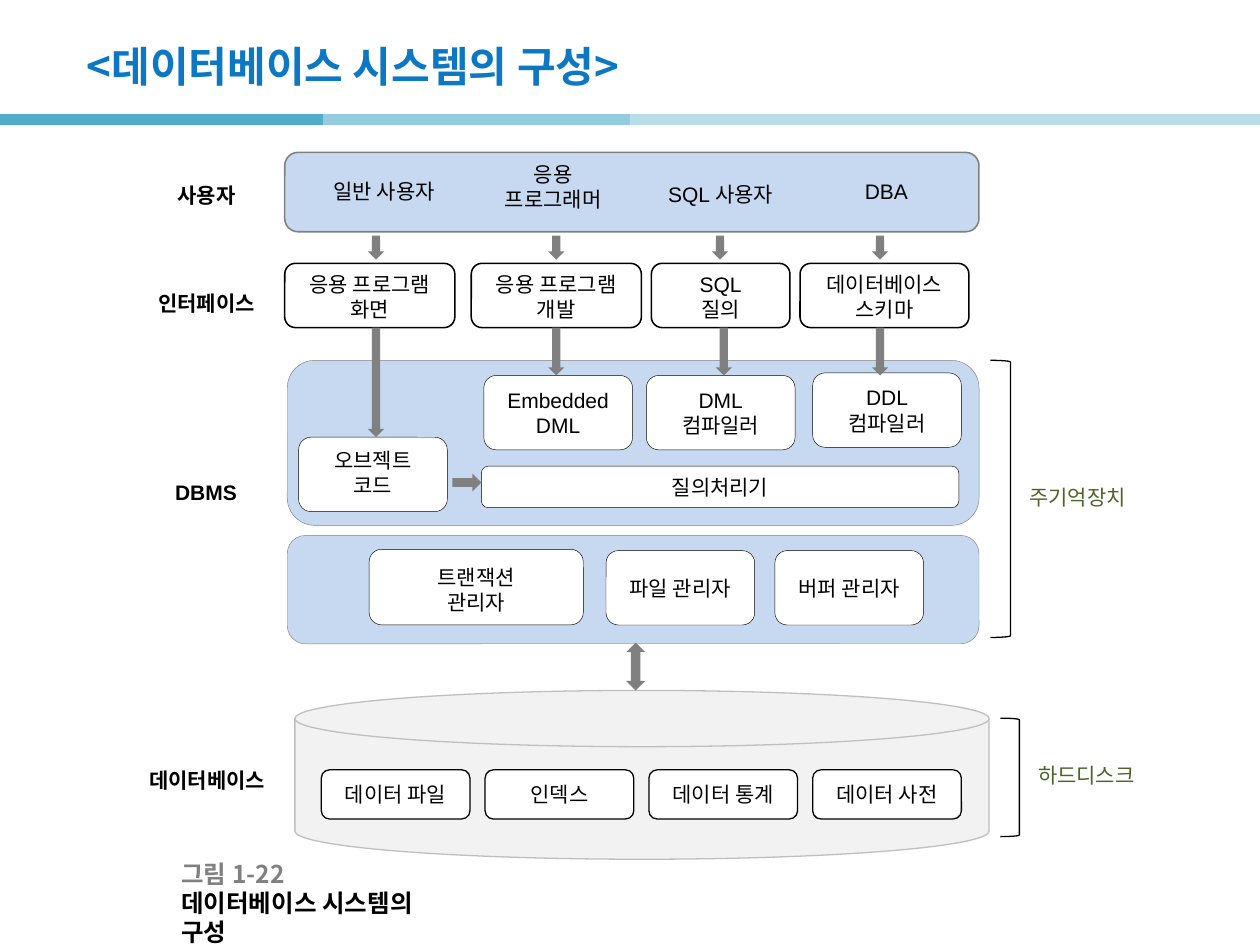
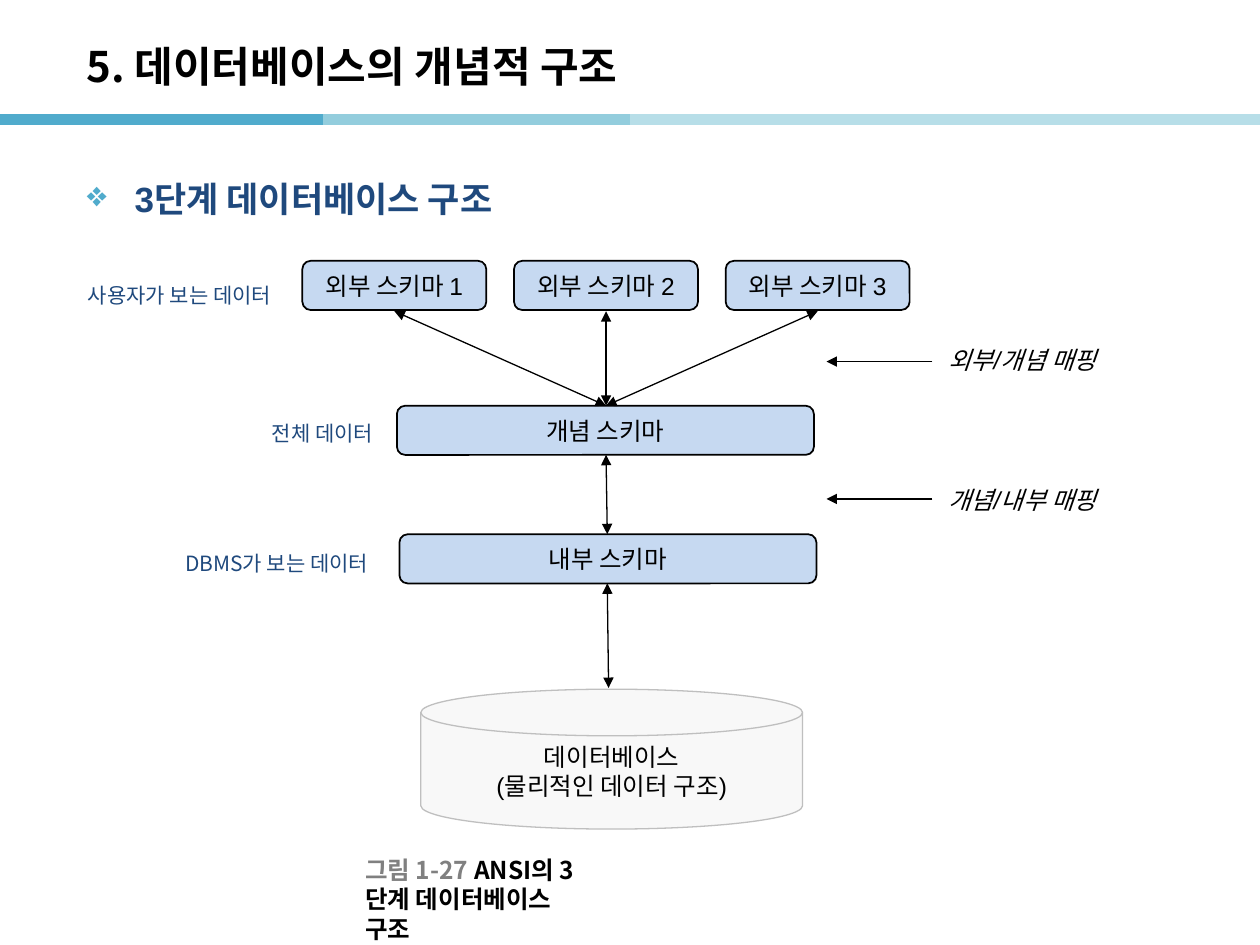
"""Build two slides on database system structure and the three-level schema architecture."""
from lxml.etree import SubElement
from pptx import Presentation
from pptx.dml.color import RGBColor as Rgb
from pptx.enum.shapes import MSO_CONNECTOR as Connector, MSO_SHAPE as Shape
from pptx.enum.text import MSO_ANCHOR as Anchor, PP_ALIGN as Align
from pptx.oxml.ns import qn
from pptx.util import Inches, Pt

COLORS = {
    "black": "000000", "white": "FFFFFF", "gray": "808080", "title": "0C77C3",
    "navy": "1F497D", "green": "4F6228", "panel": "C6D9F1", "disk": "F2F2F2",
    "disk_edge": "BFBFBF", "band1": "50ABCC", "band2": "93CDDD", "band3": "B7DEE8",
}
KOREAN = "Noto Sans CJK KR"


def put(page, kind, area, text="", fill=None, edge=None, weight=0.75, size=12,
        color="black", font="Arial", bold=False, italic=False, align=Align.CENTER,
        anchor=Anchor.MIDDLE, inset=(0.1, 0.05), wrap=True):
    place = [Inches(value) for value in area]
    if kind is None:
        box = page.shapes.add_textbox(*place)
    else:
        box = page.shapes.add_shape(kind, *place)
        box.shadow.inherit = False
        if fill:
            box.fill.solid()
            box.fill.fore_color.rgb = Rgb.from_string(COLORS[fill])
        else:
            box.fill.background()
        if edge:
            box.line.color.rgb = Rgb.from_string(COLORS[edge])
            box.line.width = Pt(weight)
        else:
            box.line.fill.background()
    frame = box.text_frame
    frame.word_wrap = wrap
    frame.vertical_anchor = anchor
    frame.margin_left = frame.margin_right = Inches(inset[0])
    frame.margin_top = frame.margin_bottom = Inches(inset[1])
    if text:
        frame.text = text
    for para in frame.paragraphs:
        para.alignment = align
        for span in para.runs:
            span.font.size, span.font.name = Pt(size), font
            span.font.bold, span.font.italic = bold, italic
            span.font.color.rgb = Rgb.from_string(COLORS[color])
            SubElement(span.font._element, qn("a:ea"), typeface=KOREAN)
    return box


def join(page, start, end, color="black", weight=0.75, arrows=()):
    line = page.shapes.add_connector(
        Connector.STRAIGHT, *[Inches(value) for value in (*start, *end)])
    line.line.color.rgb = Rgb.from_string(COLORS[color])
    line.line.width = Pt(weight)
    for arrow in arrows:
        SubElement(line.line._get_or_add_ln(), qn(f"a:{arrow}"), type="triangle")
    SubElement(line._element.spPr, qn("a:effectLst"))


deck = Presentation()
deck.slide_width, deck.slide_height = Inches(10), Inches(7.5)
pages = []
for title, title_color, number, caption, left, top in [
    ("<데이터베이스 시스템의 구성>", "title", "그림 1-22 ", "데이터베이스 시스템의 구성", 1.34, 7.01),
    ("5. 데이터베이스의 개념적 구조", "black", "그림 1-27 ", "ANSI의 3단계 데이터베이스 구조", 2.8, 6.98),
]:
    page = deck.slides.add_slide(deck.slide_layouts[6])
    pages.append(page)
    for begin, finish, band in [(0, 2.56, "band1"), (2.56, 5, "band2"), (5, 10, "band3")]:
        join(page, (begin, 0.95), (finish, 0.95), band, 6)
    put(page, None, (0.59, 0.22, 8.27, 0.6), title, size=24, color=title_color,
        font=KOREAN, bold=True, align=Align.LEFT)
    box = put(page, None, (left, top, 2.05, 0.31), number, size=14, color="gray",
              font=KOREAN, bold=True, align=Align.LEFT, wrap=False)
    span = box.text_frame.paragraphs[0].add_run()
    span.text = caption
    span.font.size, span.font.name, span.font.bold = Pt(14), KOREAN, True
    span.font.color.rgb = Rgb.from_string(COLORS["black"])
    SubElement(span.font._element, qn("a:ea"), typeface=KOREAN)
system, levels = pages

put(system, Shape.FLOWCHART_MAGNETIC_DISK, (2.34, 5.48, 5.51, 1.34),
    fill="disk", edge="disk_edge")
for index, store in enumerate(["데이터 파일", "인덱스", "데이터 통계", "데이터 사전"]):
    put(system, Shape.ROUNDED_RECTANGLE, (2.55 + 1.3 * index, 6.11, 1.18, 0.39), store,
        fill="white", edge="black", inset=(0.04, 0.05))

for top, height, weight in [(1.21, 0.63, 0.88), (2.86, 1.31, 0.25), (4.25, 0.86, 0.25)]:
    left = 2.26 if top < 2 else 2.28
    put(system, Shape.ROUNDED_RECTANGLE, (left, top, 7.77 - left, height),
        fill="panel", edge="gray", weight=weight)

for area, part, anchor in [
    ((2.37, 3.47, 1.18, 0.59), "오브젝트\n코드", Anchor.TOP),
    ((3.82, 3.7, 3.79, 0.33), "질의처리기", Anchor.TOP),
    ((3.84, 2.98, 1.18, 0.59), "Embedded\nDML", Anchor.MIDDLE),
    ((5.13, 2.98, 1.18, 0.59), "DML\n컴파일러", Anchor.MIDDLE),
    ((6.45, 2.96, 1.18, 0.59), "DDL\n컴파일러", Anchor.MIDDLE),
    ((2.93, 4.36, 1.7, 0.6), "트랜잭션\n관리자", Anchor.BOTTOM),
    ((4.81, 4.37, 1.18, 0.59), "파일 관리자", Anchor.MIDDLE),
    ((6.15, 4.37, 1.18, 0.59), "버퍼 관리자", Anchor.MIDDLE),
]:
    put(system, Shape.ROUNDED_RECTANGLE, area, part, fill="white", edge="black",
        weight=0.25, anchor=anchor, inset=(0.04, 0.05))

for left, width, interface in [
    (2.26, 1.35, "응용 프로그램 화면"), (3.74, 1.35, "응용 프로그램\n개발"),
    (5.17, 1.1, "SQL\n질의"), (6.35, 1.34, "데이터베이스\n스키마"),
]:
    put(system, Shape.ROUNDED_RECTANGLE, (left, 2.09, width, 0.51), interface, fill="white",
        edge="black", weight=0.88, anchor=Anchor.TOP, inset=(0.04, 0.04))

for area, label, bold in [
    ((1.39, 1.45, 0.5, 0.2), "사용자", True),
    ((1.22, 2.31, 0.84, 0.2), "인터페이스", True),
    ((1.39, 3.81, 0.49, 0.2), "DBMS", True),
    ((1.14, 6.09, 1.01, 0.2), "데이터베이스", True),
    ((2.6, 1.42, 0.9, 0.2), "일반 사용자", False),
    ((3.97, 1.28, 0.84, 0.4), "응용\n프로그래머", False),
    ((5.28, 1.44, 0.88, 0.2), "SQL 사용자", False),
    ((6.75, 1.42, 0.57, 0.2), "DBA", False),
]:
    put(system, None, area, label, bold=bold, anchor=Anchor.TOP, inset=(0, 0), wrap=False)

for user_left, interface_left, length in [
    (2.92, 2.92, 0.87), (4.35, 4.35, 0.38), (5.65, 5.68, 0.38), (6.92, 6.92, 0.38),
]:
    put(system, Shape.DOWN_ARROW, (user_left, 1.87, 0.13, 0.19), fill="gray")
    put(system, Shape.DOWN_ARROW, (interface_left, 2.6, 0.13, length), fill="gray")
put(system, Shape.RIGHT_ARROW, (3.59, 3.76, 0.23, 0.14), fill="gray")
put(system, Shape.UP_DOWN_ARROW, (4.97, 5.1, 0.15, 0.38), fill="gray")

for bracket, left, top, memory, font in [
    ((7.86, 2.86, 0.16, 2.2), 8.07, 3.8, "주기억장치", "Arial"),
    ((7.94, 5.7, 0.15, 0.94), 8.14, 6, "하드디스크", KOREAN),
]:
    put(system, Shape.RIGHT_BRACKET, bracket, edge="black")
    put(system, None, (left, top, 1.38, 0.3), memory, color="green", font=font,
        align=Align.LEFT, anchor=Anchor.TOP)

heading = put(levels, None, (0.59, 1.19, 8.82, 0.52), "3단계 데이터베이스 구조", size=20,
              color="navy", bold=True, align=Align.JUSTIFY, anchor=Anchor.TOP)
para = heading.text_frame.paragraphs[0]
para.line_spacing = 1.5
properties = para._p.get_or_add_pPr()
properties.set("marL", str(Inches(0.38)))
properties.set("indent", str(-Inches(0.38)))
bullet_color = SubElement(properties, qn("a:buClr"))
SubElement(bullet_color, qn("a:srgbClr"), val=COLORS["band1"])
SubElement(properties, qn("a:buChar"), char="❖")

schemas = [(2.4 + 1.68 * index, 2.07, 1.46, f"외부 스키마 {index + 1}") for index in range(3)]
schemas += [(3.15, 3.22, 3.31, "개념 스키마"), (3.17, 4.24, 3.31, "내부 스키마")]
for left, top, width, schema in schemas:
    put(levels, Shape.ROUNDED_RECTANGLE, (left, top, width, 0.39), schema, fill="panel",
        edge="black", weight=1, size=14, wrap=False)

disk = put(levels, Shape.FLOWCHART_MAGNETIC_DISK, (3.34, 5.47, 3.03, 1.11),
           "데이터베이스\n(물리적인 데이터 구조)", fill="disk", edge="disk_edge", size=14,
           anchor=Anchor.TOP)
disk_color = disk._element.spPr.find(qn("a:solidFill")).find(qn("a:srgbClr"))
SubElement(disk_color, qn("a:alpha"), val="50000")

for start, end in [
    ((3.13, 2.47), (4.81, 3.22)), ((4.81, 2.47), (4.81, 3.22)), ((6.49, 2.47), (4.81, 3.22)),
    ((4.81, 3.61), (4.82, 4.24)), ((4.82, 4.63), (4.83, 5.46)),
]:
    join(levels, start, end, arrows=("headEnd", "tailEnd"))

for top, arrow_top, mapping in [(2.66, 2.87, "외부/개념 매핑"), (3.77, 3.96, "개념/내부 매핑")]:
    put(levels, Shape.ROUNDED_RECTANGLE, (7.41, top, 1.69, 0.39), mapping, fill="white",
        size=14, italic=True, align=Align.LEFT)
    join(levels, (7.4, arrow_top), (6.56, arrow_top), arrows=("tailEnd",))

for area, view in [
    ((0.51, 2.19, 1.83, 0.3), "사용자가 보는 데이터"),
    ((2.01, 3.29, 1.1, 0.3), "전체 데이터"),
    ((1.3, 4.32, 1.79, 0.3), "DBMS가 보는 데이터"),
]:
    put(levels, None, area, view, color="navy", font=KOREAN, anchor=Anchor.TOP, wrap=False)

deck.save("out.pptx")
